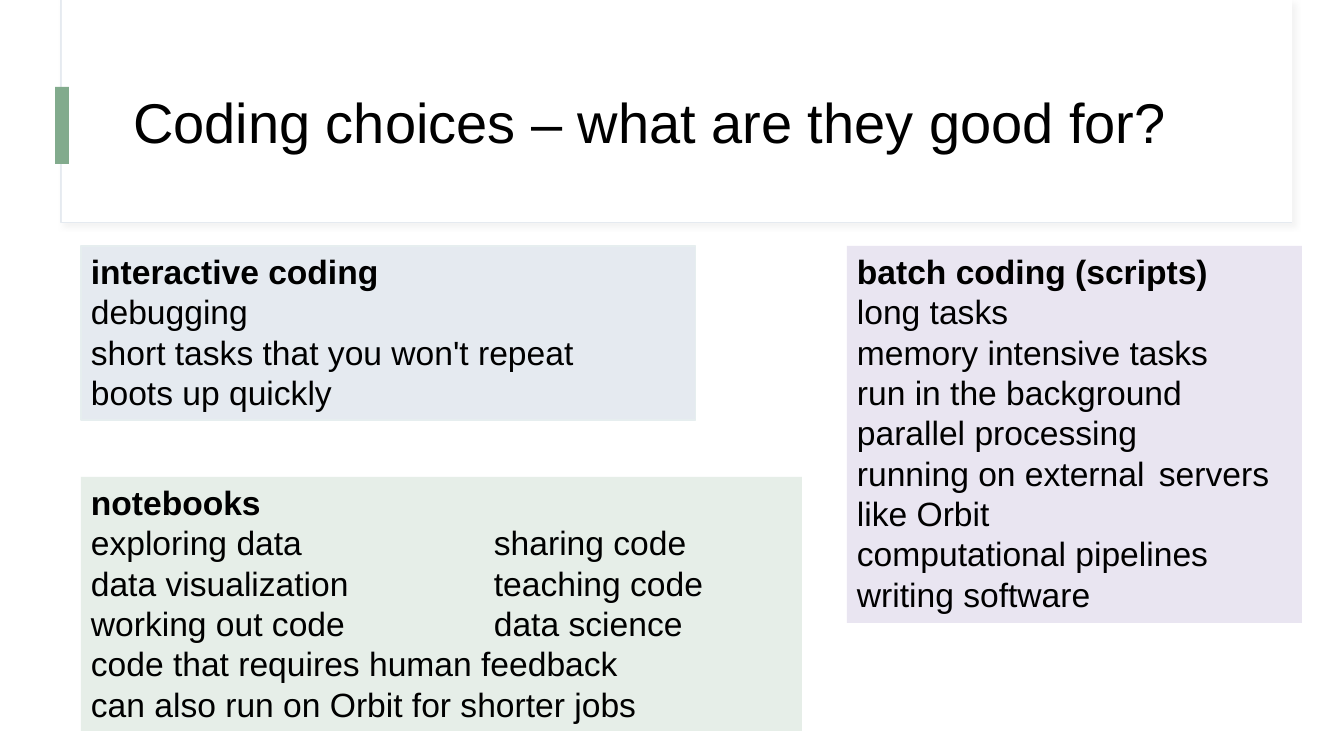
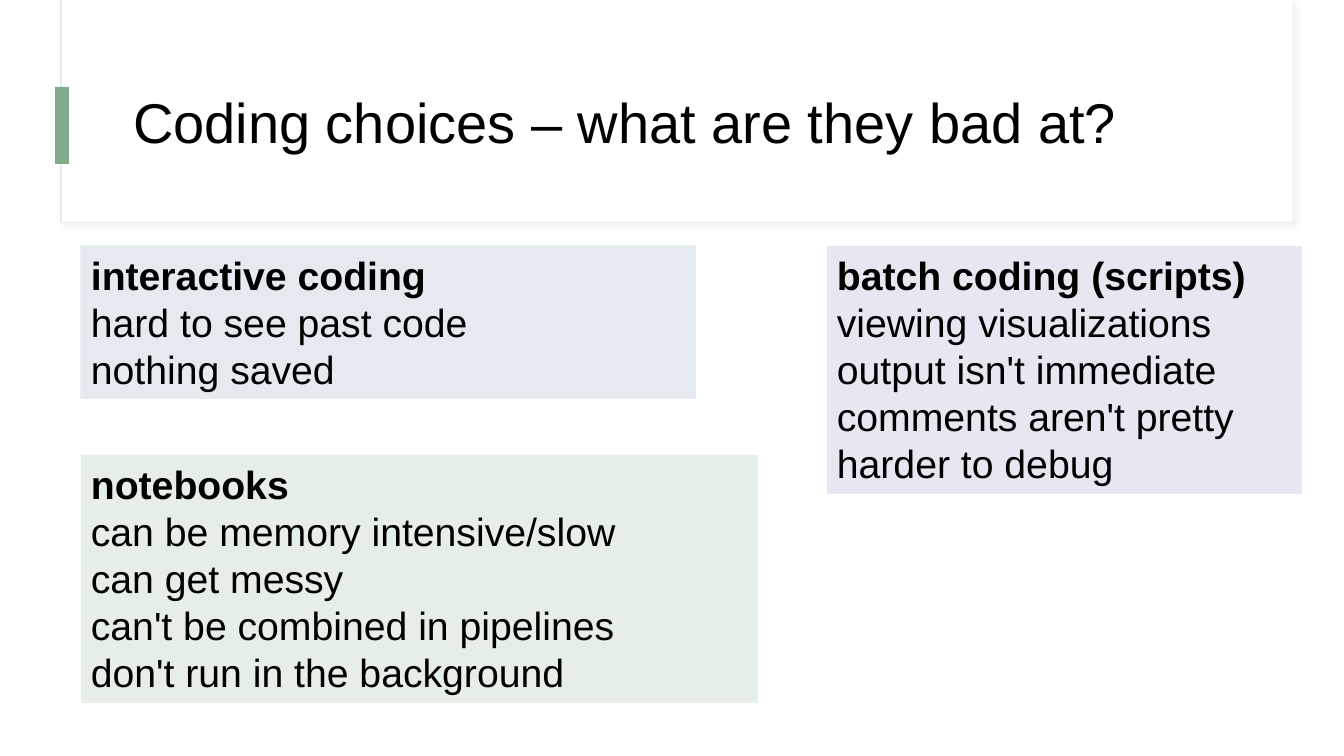
"""Build two slides comparing what each way of coding is good for and bad at."""
import lxml.etree
import pptx
import pptx.dml.color
import pptx.enum.shapes
import pptx.enum.text
import pptx.oxml
import pptx.oxml.ns
import pptx.util

PX = 12192000 / 1344
BLACK, WHITE, PALE_BLUE, GREEN = "000000", "FFFFFF", "E5EAF0", "82AB8D"
TOPICS = {
    "interactive coding": (PALE_BLUE, "E6EEEF"),
    "batch coding (scripts)": ("E9E5F1", None),
    "notebooks": ("E6EEE8", None),
}
SLIDES = [
    ("Coding choices – what are they good for?", 24, [
        ("interactive coding", (81, 246, 615, 174), None,
         ["debugging", "short tasks that you won't repeat", "boots up quickly"]),
        ("batch coding (scripts)", (847, 246, 455, 377), 302,
         ["long tasks", "memory intensive tasks", "run in the background",
          "parallel processing", "running on external \tservers like Orbit",
          "computational pipelines", "writing software"]),
        ("notebooks", (81, 477, 721, 254), 403,
         ["exploring data\tsharing code", "data visualization\tteaching code",
          "working out code\tdata science", "code that requires human feedback",
          "can also run on Orbit for shorter jobs"]),
    ]),
    ("Coding choices – what are they bad at?", 28, [
        ("interactive coding", (81, 246, 615, 153), None,
         ["hard to see past code", "nothing saved"]),
        ("batch coding (scripts)", (827, 246, 475, 248), None,
         ["viewing visualizations", "output isn't immediate",
          "comments aren't pretty", "harder to debug"]),
        ("notebooks", (81, 455, 677, 248), None,
         ["can be memory intensive/slow", "can get messy",
          "can't be combined in pipelines", "don't run in the background"]),
    ]),
]


def color(value):
    return pptx.dml.color.RGBColor.from_string(value)


def add_panel(slide, place, fill, line=None):
    panel = slide.shapes.add_shape(
        pptx.enum.shapes.MSO_SHAPE.RECTANGLE, *(round(n * PX) for n in place))
    panel.shadow.inherit = False
    panel.fill.solid()
    panel.fill.fore_color.rgb = color(fill)
    if line:
        panel.line.color.rgb = color(line)
        panel.line.width = pptx.util.Pt(0.75)
    else:
        panel.line.fill.background()
    return panel


deck = pptx.Presentation()
deck.slide_width, deck.slide_height = round(1344 * PX), round(756 * PX)
layout = deck.slide_layouts.get_by_name("Title Only")
title_place = {"left": 123, "top": 60, "width": 1121, "height": 130}
for side, length in title_place.items():
    setattr(layout.placeholders[0], side, round(length * PX))

slides = [deck.slides.add_slide(layout) for _ in SLIDES]

header = add_panel(slides[0], (61, 0, 1231, 223), WHITE, PALE_BLUE)
header_cover = add_panel(slides[0], (62, 0, 1230, 222), WHITE)
accent = add_panel(slides[0], (55, 87, 14, 77), GREEN)
header_effects = header.element.spPr.find(pptx.oxml.ns.qn("a:effectLst"))
header_effects.append(pptx.oxml.parse_xml(
    f'<a:outerShdw {pptx.oxml.ns.nsdecls("a")} blurRad="50800" dist="38100" dir="2700000">'
    '<a:srgbClr val="D9D9D9"><a:alpha val="30000"/></a:srgbClr></a:outerShdw>'))
for position, part in enumerate((header, header_cover, accent), start=2):
    layout.shapes.element.insert(position, part.element)

for slide, (heading, size, topics) in zip(slides, SLIDES):
    title = slide.shapes.title.text_frame
    title.text = heading
    title_format = {
        "vertical_anchor": pptx.enum.text.MSO_ANCHOR.MIDDLE,
        "auto_size": pptx.enum.text.MSO_AUTO_SIZE.NONE,
        "word_wrap": True,
    }
    for name, value in title_format.items():
        setattr(title, name, value)
    title.paragraphs[0].alignment = pptx.enum.text.PP_ALIGN.LEFT
    title.paragraphs[0].line_spacing = 0.9
    title_font = {"name": "Arial", "size": pptx.util.Pt(40)}
    for name, value in title_font.items():
        setattr(title.paragraphs[0].font, name, value)
    title.paragraphs[0].font.color.rgb = color(BLACK)

    for topic, place, tab, points in topics:
        notes = add_panel(slide, place, *TOPICS[topic]).text_frame
        notes.text = "\n".join([topic, *points])
        notes_format = {
            "vertical_anchor": pptx.enum.text.MSO_ANCHOR.TOP,
            "auto_size": pptx.enum.text.MSO_AUTO_SIZE.SHAPE_TO_FIT_TEXT,
            "word_wrap": True,
        }
        for name, value in notes_format.items():
            setattr(notes, name, value)
        for row, paragraph in enumerate(notes.paragraphs):
            paragraph.alignment = pptx.enum.text.PP_ALIGN.LEFT
            point_font = {"name": "Arial", "size": pptx.util.Pt(size), "bold": row == 0}
            for run in paragraph.runs:
                for name, value in point_font.items():
                    setattr(run.font, name, value)
                run.font.color.rgb = color(BLACK)
            if "\t" in paragraph.text:
                properties = paragraph._p.get_or_add_pPr()
                tabs = lxml.etree.SubElement(properties, pptx.oxml.ns.qn("a:tabLst"))
                lxml.etree.SubElement(
                    tabs, pptx.oxml.ns.qn("a:tab"), pos=str(round(tab * PX)), algn="l")

deck.save("out.pptx")
